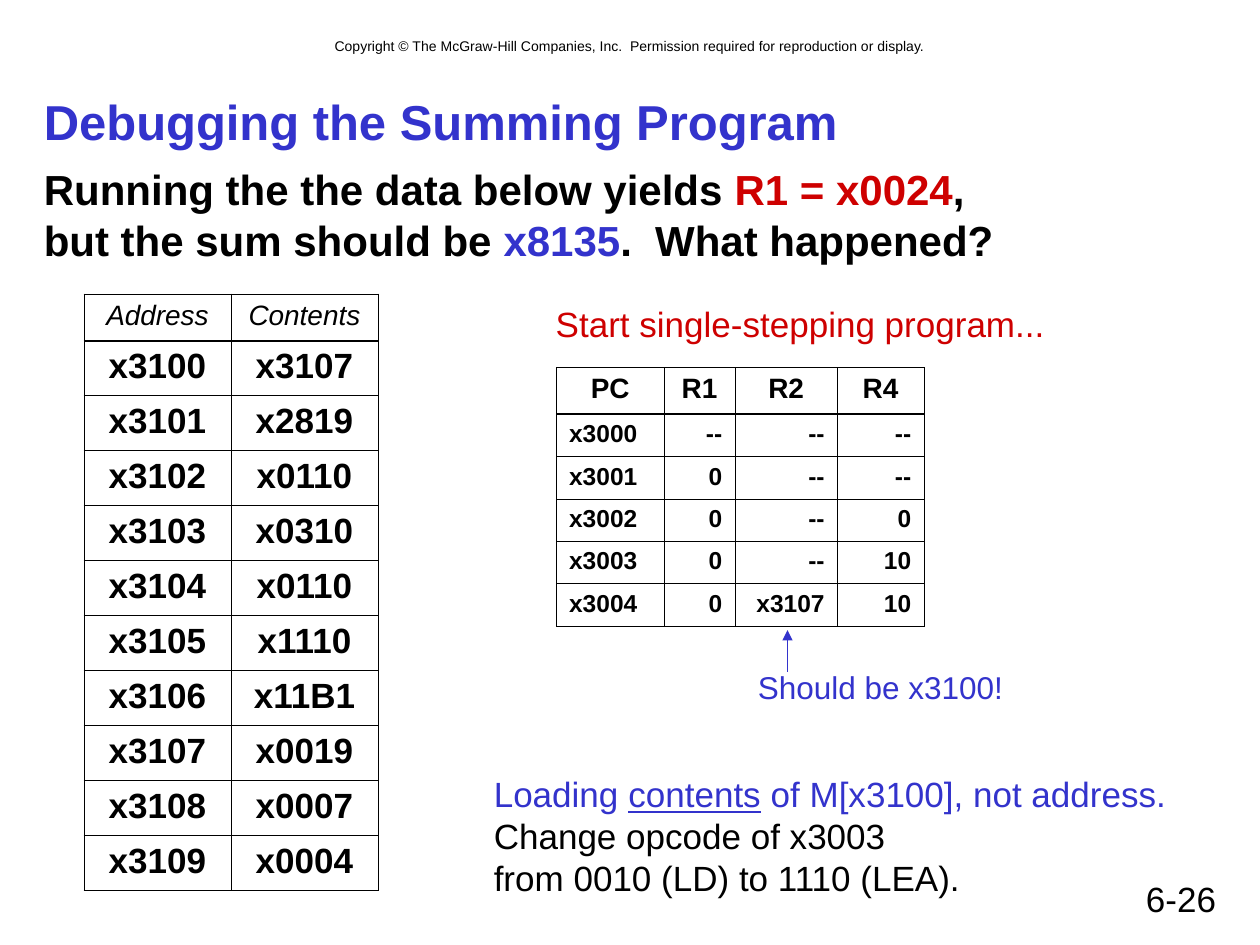
import pptx
import pptx.util
import pptx.dml.color
import pptx.enum.shapes
import pptx.enum.text
import lxml.etree

INK, BLUE, RED = "000000", "3333CC", "CE0000"
ALIGN = pptx.enum.text.PP_ALIGN
NS = "{http://schemas.openxmlformats.org/drawingml/2006/main}"


def paint(code):
    return pptx.dml.color.RGBColor.from_string(code)


def node(base, tag, **attrs):
    return lxml.etree.SubElement(base, NS + tag, **attrs)


class Deck:
    font = "Arial"
    cols, rows = 120, 90

    def __init__(self):
        self.file = pptx.Presentation()
        self.file.slide_width = pptx.util.Inches(10)
        self.file.slide_height = pptx.util.Inches(7.5)
        self.slide = self.file.slides.add_slide(self.file.slide_layouts[6])

    def wide(self, count):
        return round(self.file.slide_width * count / self.cols)

    def high(self, count):
        return round(self.file.slide_height * count / self.rows)

    def area(self, left, top, width, height):
        return self.wide(left), self.high(top), self.wide(width), self.high(height)

    def style(self, run, size, color=INK, bold=False, italic=False, line=False):
        font = run.font
        font.name, font.size = self.font, pptx.util.Pt(size)
        font.bold, font.italic, font.underline = bold, italic, line
        font.color.rgb = paint(color)

    def text(self, box, paras, size, align=ALIGN.LEFT, bold=False, wrap=True, middle=False):
        frame = self.slide.shapes.add_textbox(*self.area(*box)).text_frame
        frame.word_wrap = wrap
        if middle:
            frame.vertical_anchor = pptx.enum.text.MSO_ANCHOR.MIDDLE
        frame.text = "\n".join("".join(part[0] for part in parts[:1]) for parts in paras)
        for para, parts in zip(frame.paragraphs, paras):
            para.alignment = align
            for part in parts[1:]:
                if part[0] == "\n":
                    para.add_line_break()
                else:
                    para.add_run().text = part[0]
            shown = [part for part in parts if part[0] != "\n"]
            for run, (_, color, *line) in zip(para.runs, shown):
                self.style(run, size, color, bold, line=bool(line))

    def edge(self, cell, top, base):
        props = cell._tc.get_or_add_tcPr()
        for side, width in (("lnL", 0.45), ("lnR", 0.45), ("lnT", top), ("lnB", base)):
            line = node(props, side, w=str(pptx.util.Pt(width)))
            node(node(line, "solidFill"), "srgbClr", val=INK)

    def table(self, left, top, widths, heights, data, head, body, aligns):
        box = self.area(left, top, sum(widths), sum(heights))
        grid = self.slide.shapes.add_table(len(data), len(widths), *box).table
        grid.first_row = grid.horz_banding = False
        for col, width in zip(grid.columns, widths):
            col.width = self.wide(width)
        for row, height in zip(grid.rows, heights):
            row.height = self.high(height)
        for r, items in enumerate(data):
            for c, item in enumerate(items):
                cell = grid.cell(r, c)
                cell.text_frame.text = item
                para = cell.text_frame.paragraphs[0]
                para.alignment = aligns[c] if r else ALIGN.CENTER
                self.style(para.runs[0], **(body if r else head))
                self.edge(cell, 1.47 if r == 1 else 0.45, 0.45 if r else 1.47)
                cell.fill.background()

    def arrow(self, left, start, end, color):
        kind = pptx.enum.shapes.MSO_CONNECTOR.STRAIGHT
        x = self.wide(left)
        link = self.slide.shapes.add_connector(kind, x, self.high(start), x, self.high(end))
        link.line.color.rgb = paint(color)
        link.line.width = pptx.util.Pt(0.75)
        node(link.line._get_or_add_ln(), "tailEnd", type="triangle")
        node(link._element.spPr, "effectLst")


def main():
    deck = Deck()
    notice = ("Copyright © The McGraw-Hill Companies, Inc.  "
              "Permission required for reproduction or display.")
    deck.text((8, 3, 104, 3), [[(notice, INK)]], 8, ALIGN.CENTER)
    deck.text((86, 83, 31, 5), [[("6-26", INK)]], 20, ALIGN.RIGHT)
    deck.text((3, 8, 114, 7), [[("Debugging the Summing Program", BLUE)]], 28,
              bold=True, middle=True)
    deck.text((3, 15, 114, 65), [[
        ("Running the the data below yields ", INK), ("R1 = x0024", RED), (",", INK),
        ("\n", INK), ("but the sum should be ", INK), ("x8135", BLUE),
        (".  What happened?", INK)]], 24, bold=True)

    words = "x3107 x2819 x0110 x0310 x0110 x1110 x11B1 x0019 x0007 x0004".split()
    cells = [(f"x{3100 + i}", word) for i, word in enumerate(words)]
    deck.table(8, 28, [14, 14], [4.45] + [5.24] * len(cells),
               [("Address", "Contents")] + cells,
               dict(size=16, italic=True), dict(size=20, bold=True), [ALIGN.CENTER] * 2)

    steps = [
        ("PC", "R1", "R2", "R4"),
        ("x3000", "--", "--", "--"),
        ("x3001", "0", "--", "--"),
        ("x3002", "0", "--", "0"),
        ("x3003", "0", "--", "10"),
        ("x3004", "0", "x3107", "10"),
    ]
    deck.table(53, 35, [10.25, 6.75, 9.75, 8.25], [4.45] + [4.04] * 5, steps,
               dict(size=16, bold=True), dict(size=14, bold=True),
               [ALIGN.LEFT] + [ALIGN.RIGHT] * 3)

    deck.text((51.75, 28.25, 49, 5.25), [[("Start single-stepping program...", RED)]], 20,
              wrap=False)
    deck.text((71, 63, 25.75, 4.75), [[("Should be x3100!", BLUE)]], 18, wrap=False)
    deck.arrow(75, 64, 60, BLUE)
    deck.text((45.85, 73, 66.5, 13.25), [
        [("Loading ", BLUE), ("contents", BLUE, True), (" of M[x3100], not address.", BLUE)],
        [("Change opcode of x3003", INK), ("\n", INK),
         ("from 0010 (LD) to 1110 (LEA).", INK)]], 20, wrap=False)
    deck.file.save("out.pptx")


if __name__ == "__main__":
    main()
